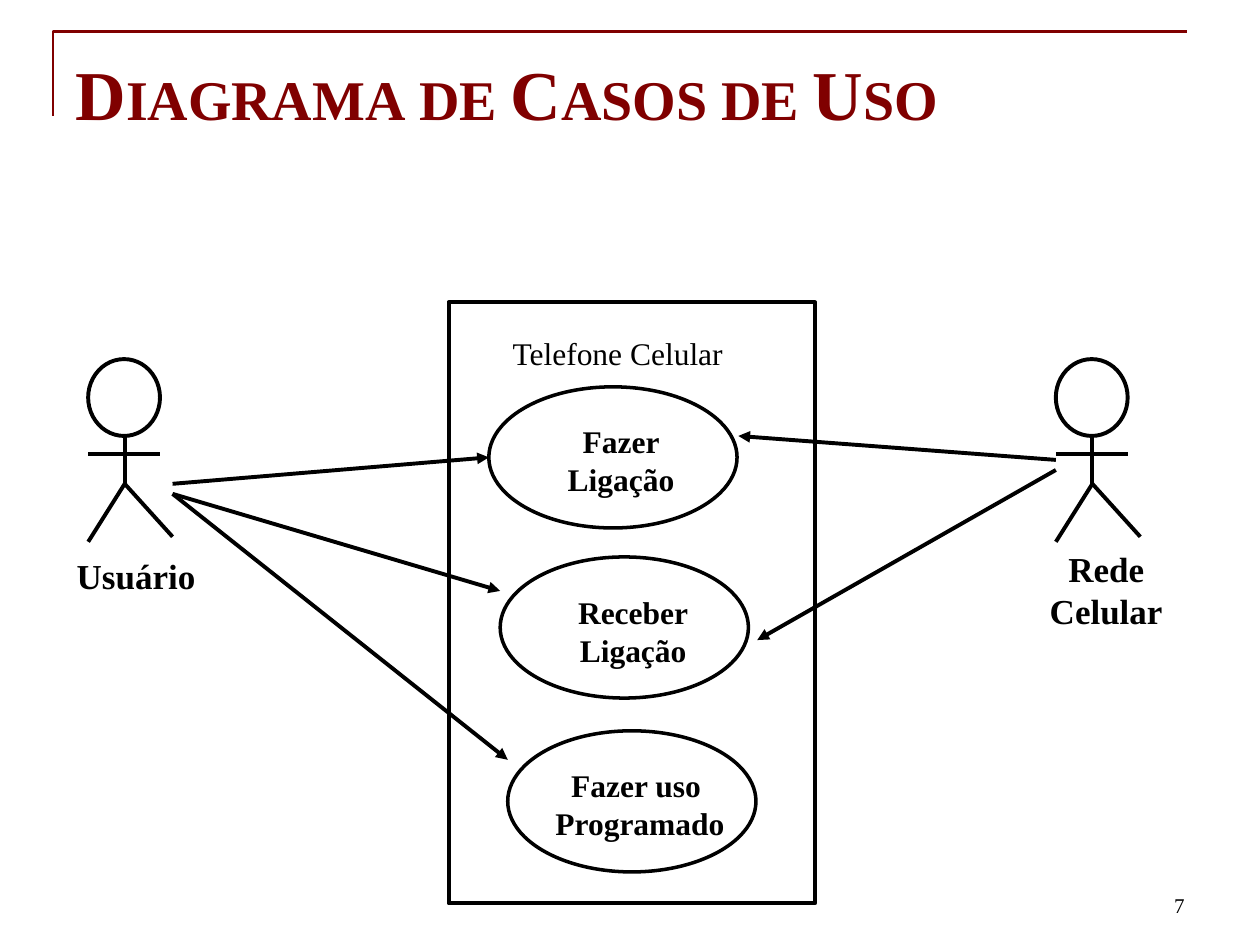
from pptx import Presentation
from pptx.dml.color import RGBColor
from pptx.enum.shapes import MSO_CONNECTOR, MSO_SHAPE
from pptx.enum.text import MSO_ANCHOR, MSO_AUTO_SIZE, PP_ALIGN
from pptx.oxml.ns import qn
from pptx.util import Inches, Pt
from lxml import etree

LEFT, CENTER, RIGHT = PP_ALIGN.LEFT, PP_ALIGN.CENTER, PP_ALIGN.RIGHT
TOP, BOTTOM = MSO_ANCHOR.TOP, MSO_ANCHOR.BOTTOM
ELLIPSE, RECTANGLE = MSO_SHAPE.OVAL, MSO_SHAPE.RECTANGLE
STRAIGHT = MSO_CONNECTOR.STRAIGHT
NO_FIT, GROW = MSO_AUTO_SIZE.NONE, MSO_AUTO_SIZE.SHAPE_TO_FIT_TEXT
BLACK = RGBColor(0, 0, 0)
MAROON = RGBColor(0x80, 0, 0)
FONT = "Times New Roman"

USE_CASES = [
    (3.88, 3.07, (4.4, 3.3, 1.06, 0.62), ["Fazer", "Ligação"]),
    (3.97, 4.42, (4.48, 4.66, 1.09, 0.62), ["Receber", "Ligação"]),
    (4.03, 5.8, (4.3, 6.03, 1.56, 0.62), ["Fazer uso ", "Programado"]),
]
ASSOCIATIONS = [
    ((1.37, 3.84), (3.88, 3.63)),
    ((1.37, 3.92), (3.97, 4.69)),
    ((1.37, 3.92), (4.03, 6.03)),
    ((8.38, 3.65), (5.86, 3.46)),
    ((8.38, 3.73), (6.01, 5.08)),
]


def inches(values):
    return [Inches(value) for value in values]


def write_text(frame, lines, size, color=BLACK, bold=False, small_caps=False,
               align=LEFT, anchor=TOP, wrap=True, fit=NO_FIT, before=0):
    frame.word_wrap = wrap
    frame.auto_size = fit
    frame.vertical_anchor = anchor
    for index, line in enumerate(lines):
        para = frame.add_paragraph() if index else frame.paragraphs[0]
        para.alignment = align
        para.space_before = Pt(before)
        span = para.add_run()
        span.text = line
        span.font.name = FONT
        span.font.size = Pt(size)
        span.font.bold = bold
        span.font.color.rgb = color
        if small_caps:
            span.font._element.set("cap", "small")


def add_text(shapes, bounds, lines, size, **style):
    box = shapes.add_textbox(*inches(bounds))
    write_text(box.text_frame, lines, size, **style)


def style_outline(shape, color, width):
    shape.shadow.inherit = False
    shape.fill.background()
    shape.line.color.rgb = color
    shape.line.width = Pt(width)


def add_outline(shapes, kind, bounds, width):
    shape = shapes.add_shape(kind, *inches(bounds))
    style_outline(shape, BLACK, width)


def add_line(shapes, start, end, arrow=False):
    line = shapes.add_connector(STRAIGHT, *inches(start + end))
    line.line.color.rgb = BLACK
    line.line.width = Pt(2.25)
    if arrow:
        outline = line.line._get_or_add_ln()
        etree.SubElement(outline, qn("a:tailEnd"), type="triangle")
    etree.SubElement(line._element.spPr, qn("a:effectLst"))


def add_title(page):
    corner = page.shapes.build_freeform(Inches(0.42), Inches(0.92))
    corner.add_line_segments(
        [inches((0.42, 0.25)), inches((9.42, 0.25))], close=False)
    style_outline(corner.convert_to_shape(), MAROON, 1.5)
    title = page.shapes.title
    title.left, title.top, title.width, title.height = inches((0.5, 0.3, 9, 1.25))
    title.text_frame.margin_top = Inches(0.1)
    write_text(title.text_frame, ["Diagrama de Casos de Uso"], 40,
               color=MAROON, bold=True, small_caps=True)


def add_actor(page, left, label_bounds, lines, align):
    shapes = page.shapes.add_group_shape().shapes
    middle = left + 0.29
    hip = (middle, 3.84)
    add_outline(shapes, ELLIPSE, (left, 2.85, 0.57, 0.61), 2.25)
    add_line(shapes, (middle, 3.46), hip)
    add_line(shapes, hip, (left + 0.67, 4.26))
    add_line(shapes, hip, (left, 4.3))
    add_line(shapes, (left, 3.6), (left + 0.57, 3.6))
    add_text(shapes, label_bounds, lines, 20, bold=True, align=align,
             wrap=False, fit=GROW)


def add_system(page):
    shapes = page.shapes.add_group_shape().shapes
    for left, top, label_bounds, lines in USE_CASES:
        add_outline(shapes, ELLIPSE, (left, top, 1.97, 1.12), 2)
        add_text(shapes, label_bounds, lines, 18, bold=True, align=CENTER,
                 wrap=False, fit=GROW)
    add_outline(shapes, RECTANGLE, (3.56, 2.4, 2.91, 4.77), 2.25)


def main():
    deck = Presentation()
    deck.slide_width, deck.slide_height = inches((10, 7.5))
    page = deck.slides.add_slide(deck.slide_layouts[5])
    add_title(page)
    add_text(page.shapes, (7.17, 6.83, 2.33, 0.5), ["7"], 12,
             align=RIGHT, anchor=BOTTOM)
    add_text(page.shapes, (3.97, 2.6, 1.98, 0.44), ["Telefone Celular"], 18,
             before=6)
    add_actor(page, 8.38, (8.23, 4.3, 1.1, 0.77), ["Rede", "Celular"], CENTER)
    add_actor(page, 0.7, (0.51, 4.35, 1.15, 0.44), ["Usuário"], LEFT)
    add_system(page)
    for start, end in ASSOCIATIONS:
        add_line(page.shapes, start, end, arrow=True)
    deck.save("out.pptx")


main()
